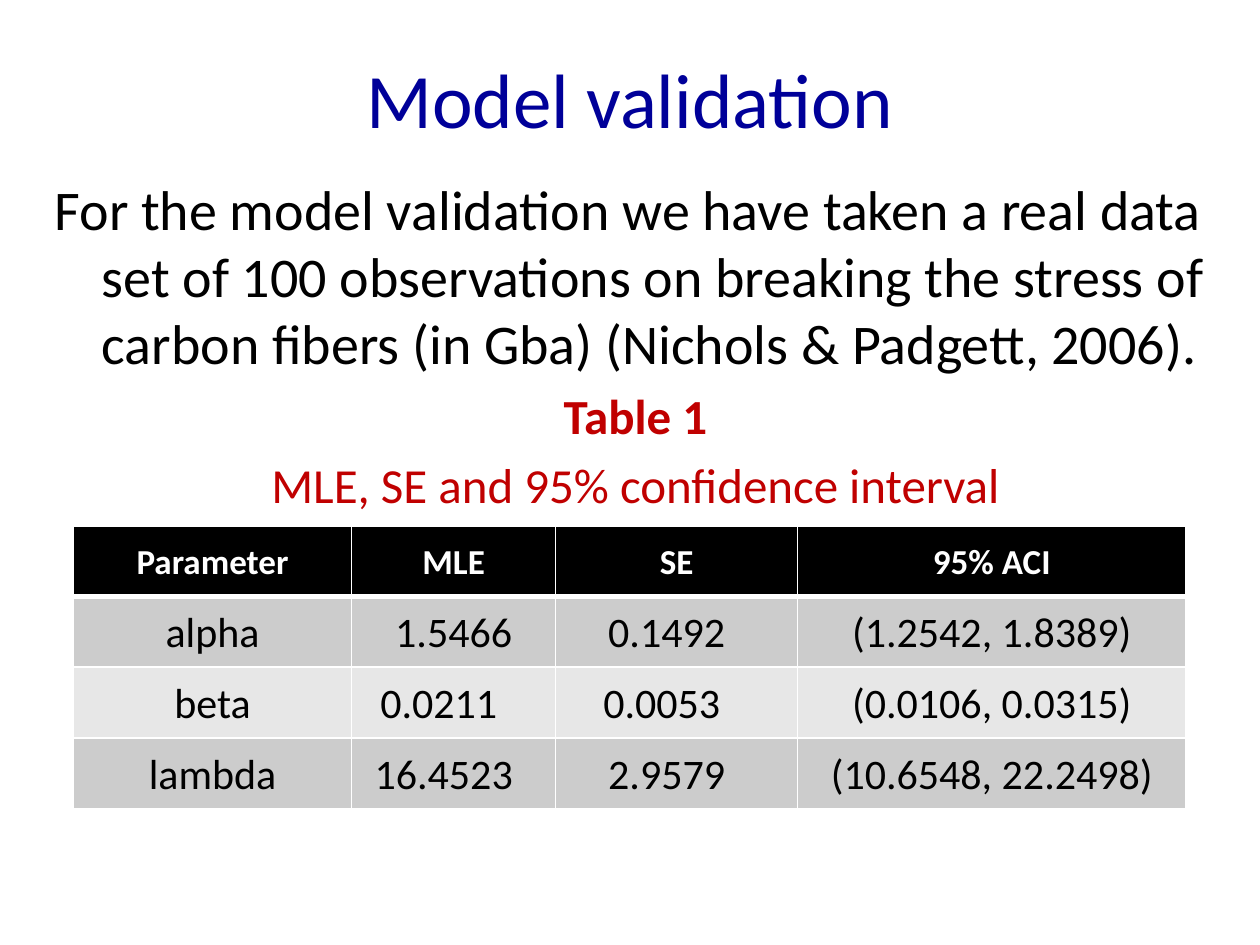
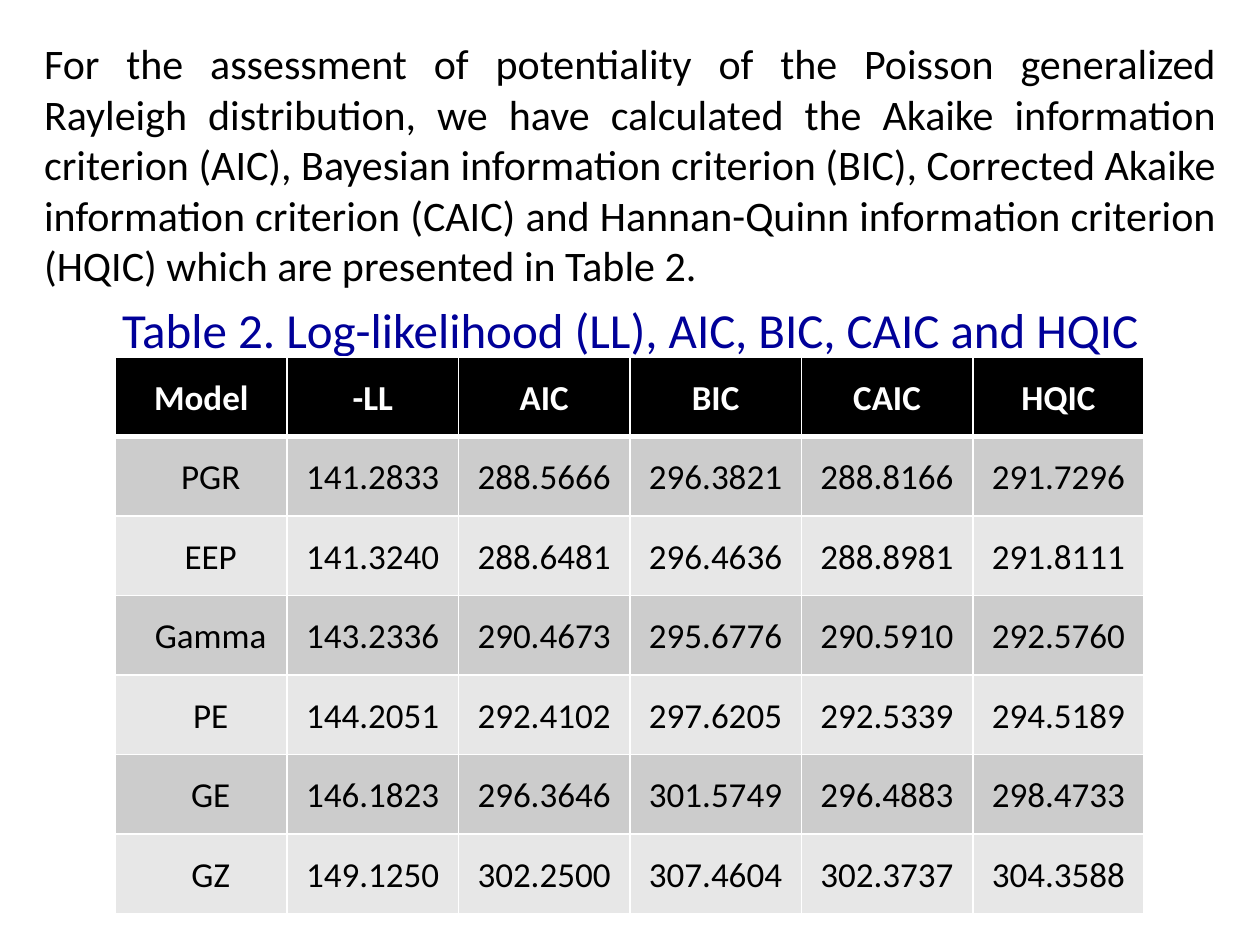
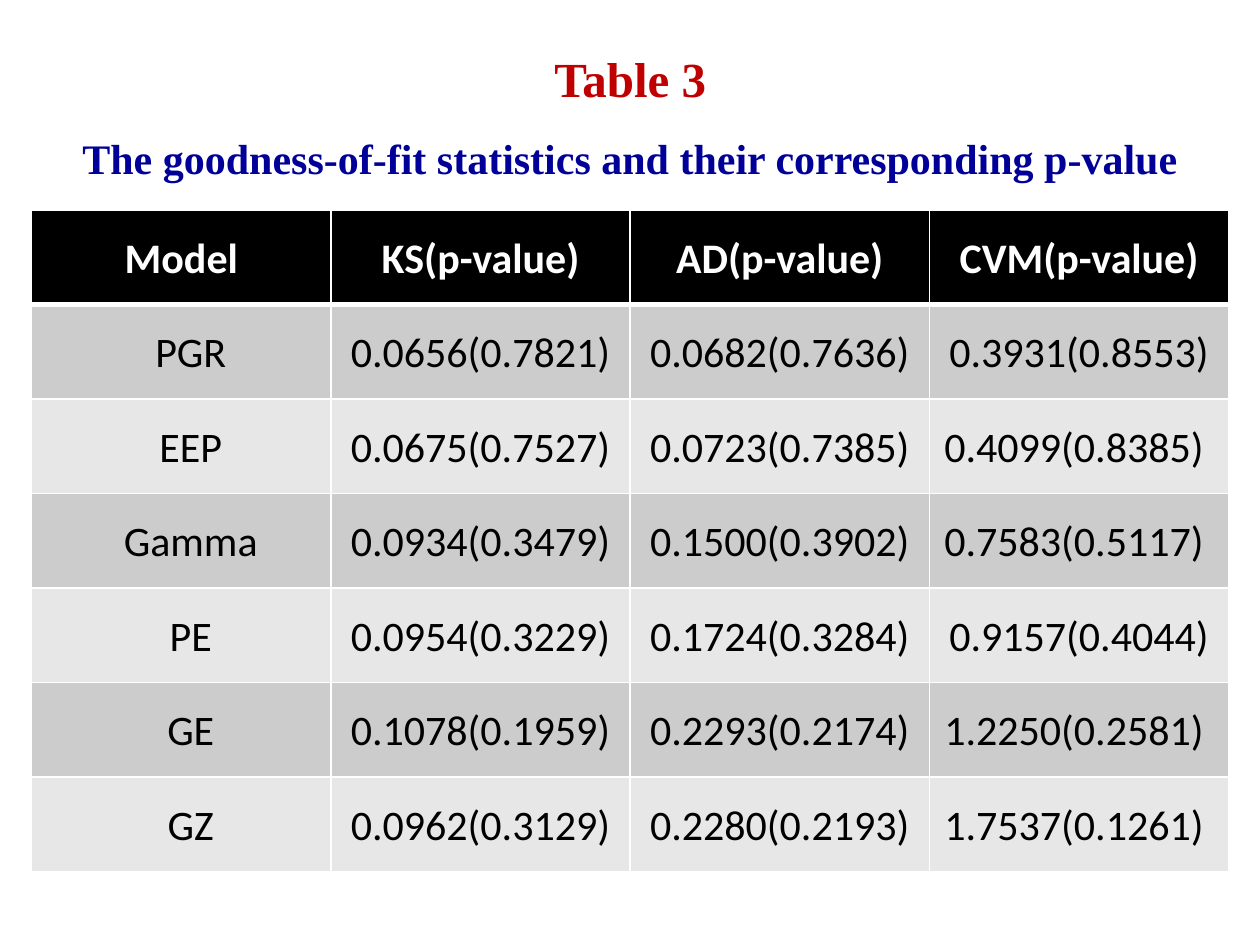
"""Build three slides on model validation and goodness of fit."""
import dataclasses

import lxml.etree
import pptx
import pptx.dml.color
import pptx.enum.text
import pptx.oxml.ns
import pptx.util

Cm = pptx.util.Cm
Pt = pptx.util.Pt
RGBColor = pptx.dml.color.RGBColor
ALIGN = pptx.enum.text.PP_ALIGN
ANCHOR = pptx.enum.text.MSO_ANCHOR

BLACK = RGBColor(0x00, 0x00, 0x00)
WHITE = RGBColor(0xFF, 0xFF, 0xFF)
NAVY = RGBColor(0x00, 0x00, 0x99)
RED = RGBColor(0xC0, 0x00, 0x00)
DARK_BAND = RGBColor(0xCC, 0xCC, 0xCC)
LIGHT_BAND = RGBColor(0xE7, 0xE7, 0xE7)

BODY_FONT = "Calibri"
SERIF_FONT = "Times New Roman"
HANGING = Cm(0.95)
LABEL_INDENT = Cm(0.38)
CELL_MARGIN = Cm(0.18)
NUDGE = Cm(0.2)

ESTIMATES = [
    ["Parameter", "MLE", "SE", "95% ACI"],
    ["alpha", "1.5466", "0.1492", "(1.2542, 1.8389)"],
    ["beta", "0.0211", "0.0053", "(0.0106, 0.0315)"],
    ["lambda", "16.4523", "2.9579", "(10.6548, 22.2498)"],
]
ESTIMATE_NUDGES = {(1, 2): 2, (2, 1): 3, (2, 2): 3, (3, 1): 2, (3, 2): 2}

CRITERIA = [
    ["Model", "-LL", "AIC", "BIC", "CAIC", "HQIC"],
    ["PGR", "141.2833", "288.5666", "296.3821", "288.8166", "291.7296"],
    ["EEP", "141.3240", "288.6481", "296.4636", "288.8981", "291.8111"],
    ["Gamma", "143.2336", "290.4673", "295.6776", "290.5910", "292.5760"],
    ["PE", "144.2051", "292.4102", "297.6205", "292.5339", "294.5189"],
    ["GE", "146.1823", "296.3646", "301.5749", "296.4883", "298.4733"],
    ["GZ", "149.1250", "302.2500", "307.4604", "302.3737", "304.3588"],
]

FIT_STATISTICS = [
    ["Model", "KS(p-value)", "AD(p-value)", "CVM(p-value)"],
    ["PGR", "0.0656(0.7821)", "0.0682(0.7636)", "0.3931(0.8553)"],
    ["EEP", "0.0675(0.7527)", "0.0723(0.7385)", "0.4099(0.8385)"],
    ["Gamma", "0.0934(0.3479)", "0.1500(0.3902)", "0.7583(0.5117)"],
    ["PE", "0.0954(0.3229)", "0.1724(0.3284)", "0.9157(0.4044)"],
    ["GE", "0.1078(0.1959)", "0.2293(0.2174)", "1.2250(0.2581)"],
    ["GZ", "0.0962(0.3129)", "0.2280(0.2193)", "1.7537(0.1261)"],
]
FIT_NUDGES = {(row, 3): 1 for row in (2, 3, 5, 6)}


@dataclasses.dataclass
class Passage:
    """A paragraph with its look."""
    text: str
    size: int
    color: RGBColor = BLACK
    bold: bool = False
    align: ALIGN = ALIGN.CENTER
    font: str = BODY_FONT
    hanging: bool = False


def write_passage(para, passage):
    """Fill a paragraph and format its runs."""
    para.text = passage.text
    para.alignment = passage.align
    for span in para.runs:
        span.font.name = passage.font
        span.font.size = Pt(passage.size)
        span.font.bold = passage.bold
        span.font.color.rgb = passage.color


def indent_paragraph(para, left, first):
    """Set the left margin and first-line indent of a paragraph."""
    properties = para._p.get_or_add_pPr()
    properties.set("marL", str(int(left)))
    properties.set("indent", str(int(first)))


def add_text(slide, box, passages, anchor=ANCHOR.TOP):
    """Place passages in a wrapping text box."""
    frame = slide.shapes.add_textbox(*map(Cm, box)).text_frame
    frame.word_wrap = True
    frame.vertical_anchor = anchor
    for index, passage in enumerate(passages):
        para = frame.add_paragraph() if index else frame.paragraphs[0]
        write_passage(para, passage)
        if anchor == ANCHOR.TOP:
            para.space_before = Pt(passage.size * 0.2)
        if passage.hanging:
            indent_paragraph(para, HANGING, -HANGING)


def add_borders(cell, row):
    """Draw white cell borders, thick under the header row."""
    top = 3 if row == 1 else 1
    bottom = 3 if row == 0 else 1
    properties = cell._tc.get_or_add_tcPr()
    for side, width in (("L", 1), ("R", 1), ("T", top), ("B", bottom)):
        line = lxml.etree.SubElement(
            properties, pptx.oxml.ns.qn("a:ln" + side), w=str(Pt(width)))
        fill = lxml.etree.SubElement(line, pptx.oxml.ns.qn("a:solidFill"))
        lxml.etree.SubElement(
            fill, pptx.oxml.ns.qn("a:srgbClr"), val=str(WHITE))


def add_banded_table(slide, box, rows, head_size, body_size,
                     widths=None, nudges=None, indent_labels=True):
    """Fill the box with a black-headed, grey-banded table."""
    left, top, width, height = box
    count = len(rows[0])
    widths = widths or [width / count] * count
    nudges = nudges or {}
    table = slide.shapes.add_table(
        len(rows), count, Cm(left), Cm(top), Cm(width), Cm(height)).table
    for column, column_width in zip(table.columns, widths):
        column.width = Cm(column_width)
    for row, values in enumerate(rows):
        table.rows[row].height = Cm(height / len(rows))
        header = row == 0
        band = BLACK if header else DARK_BAND if row % 2 else LIGHT_BAND
        look = Passage("", head_size if header else body_size,
                       WHITE if header else BLACK, header)
        for column, value in enumerate(values):
            cell = table.cell(row, column)
            cell.vertical_anchor = ANCHOR.MIDDLE
            cell.margin_top = cell.margin_bottom = 0
            cell.margin_left = CELL_MARGIN
            cell.margin_right = CELL_MARGIN + NUDGE * nudges.get((row, column), 0)
            para = cell.text_frame.paragraphs[0]
            write_passage(para, dataclasses.replace(look, text=value))
            para.line_spacing = 1.07
            if indent_labels and column == 0 and not header:
                indent_paragraph(para, 0, LABEL_INDENT)
            add_borders(cell, row)
            cell.fill.solid()
            cell.fill.fore_color.rgb = band


def build_validation(slide):
    """Show the data set and the parameter estimates."""
    add_text(slide, (1.27, 0.76, 22.86, 2.41),
             [Passage("Model validation", 44, NAVY)], ANCHOR.MIDDLE)
    add_text(slide, (0.85, 3.39, 23.92, 15.66), [
        Passage("For the model validation we have taken a real data set of 100 "
                "observations on breaking the stress of carbon fibers (in Gba) "
                "(Nichols & Padgett, 2006).", 32, align=ALIGN.LEFT, hanging=True),
        Passage("Table 1", 28, RED, True, hanging=True),
        Passage("MLE, SE and 95% confidence interval", 28, RED, hanging=True),
    ])
    add_banded_table(slide, (1.48, 10.6, 22.43, 5.7), ESTIMATES, 20, 24,
                     [5.61, 4.11, 4.88, 7.83], ESTIMATE_NUDGES, False)


def build_criteria(slide):
    """Compare the models by information criteria."""
    add_text(slide, (0.64, 0.64, 24.13, 17.78), [
        Passage("For the assessment of potentiality of the Poisson generalized "
                "Rayleigh distribution, we have calculated the Akaike information "
                "criterion (AIC), Bayesian information criterion (BIC), Corrected "
                "Akaike information criterion (CAIC) and Hannan-Quinn information "
                "criterion (HQIC) which are presented in Table 2.",
                24, align=ALIGN.JUSTIFY),
        Passage("Table 2. Log-likelihood (LL), AIC, BIC, CAIC and HQIC", 28, NAVY,
                hanging=True),
    ])
    add_banded_table(slide, (2.33, 7.2, 20.74, 11.22), CRITERIA, 20, 20)


def build_fit(slide):
    """Compare the models by goodness-of-fit statistics."""
    add_banded_table(slide, (0.64, 4.23, 24.13, 13.34), FIT_STATISTICS, 24, 24,
                     nudges=FIT_NUDGES)
    add_text(slide, (0.74, 2.54, 23.92, 1.27), [
        Passage("The goodness-of-fit statistics and their corresponding p-value",
                24, NAVY, True, font=SERIF_FONT)], ANCHOR.MIDDLE)
    add_text(slide, (3.39, 0.85, 18.63, 1.45),
             [Passage("Table 3", 28, RED, True, font=SERIF_FONT)], ANCHOR.MIDDLE)


def main():
    """Build and save the deck."""
    deck = pptx.Presentation()
    deck.slide_width, deck.slide_height = Cm(25.4), Cm(19.05)
    for build in (build_validation, build_criteria, build_fit):
        build(deck.slides.add_slide(deck.slide_layouts[6]))
    deck.save("out.pptx")


if __name__ == "__main__":
    main()
